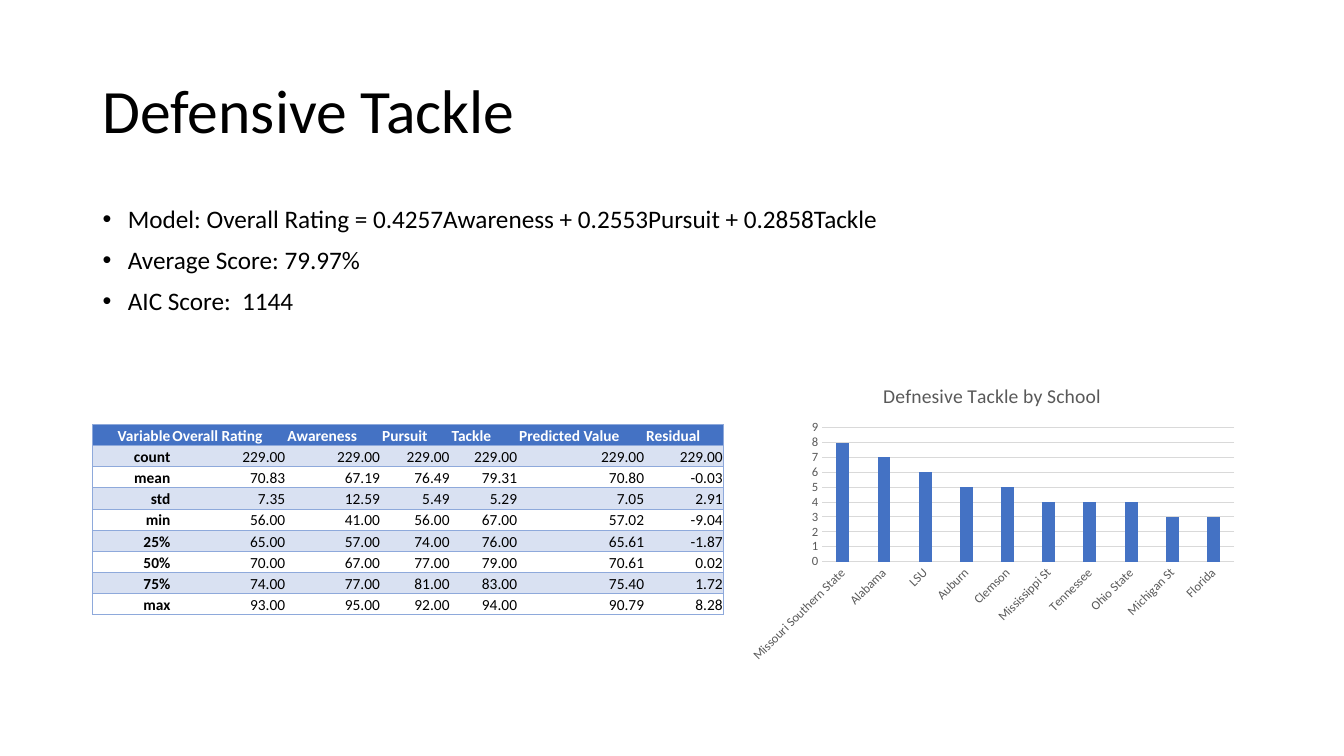
from dataclasses import dataclass

from lxml import etree
from pptx import Presentation
from pptx import util as u
from pptx.chart.data import CategoryChartData
from pptx.dml.color import RGBColor
from pptx.enum import chart as charts, text
from pptx.oxml import ns


@dataclass(frozen=True)
class Theme:
    font: str = "Calibri"
    ink: str = "000000"
    white: str = "FFFFFF"
    blue: str = "4472C4"
    band: str = "D9E1F2"
    edge: str = "8EA9DB"
    gray: str = "595959"
    grid: str = "D9D9D9"
    title: int = 44
    body: int = 18
    cell: int = 11
    head: int = 14
    axis: int = 9


THEME = Theme()
SCALE = 9144  # EMU per px, 100 px to the inch

BULLETS = [
    "Model: Overall Rating = 0.4257Awareness + 0.2553Pursuit + 0.2858Tackle",
    "Average Score: 79.97%",
    "AIC Score:  1144",
]
WIDTHS = [78, 114, 94, 69, 67, 126, 78]
STATS = [
    ["Variable", "Overall Rating", "Awareness", "Pursuit", "Tackle",
     "Predicted Value", "Residual"],
    ["count"] + ["229.00"] * 6,
    ["mean", "70.83", "67.19", "76.49", "79.31", "70.80", "-0.03"],
    ["std", "7.35", "12.59", "5.49", "5.29", "7.05", "2.91"],
    ["min", "56.00", "41.00", "56.00", "67.00", "57.02", "-9.04"],
    ["25%", "65.00", "57.00", "74.00", "76.00", "65.61", "-1.87"],
    ["50%", "70.00", "67.00", "77.00", "79.00", "70.61", "0.02"],
    ["75%", "74.00", "77.00", "81.00", "83.00", "75.40", "1.72"],
    ["max", "93.00", "95.00", "92.00", "94.00", "90.79", "8.28"],
]
SCHOOLS = {
    "Missouri Southern State": 8, "Alabama": 7, "LSU": 6, "Auburn": 5,
    "Clemson": 5, "Mississippi St": 4, "Tennessee": 4, "Ohio State": 4,
    "Michigan St": 3, "Florida": 3,
}


def px(*sizes):
    return [u.Emu(size * SCALE) for size in sizes]


def style(font, size, color, bold=False):
    font.name = THEME.font
    font.size = u.Pt(size)
    font.bold = bold
    font.color.rgb = RGBColor.from_string(color)


def add_text(slide, box, lines, size, anchor, bullet=False):
    frame = slide.shapes.add_textbox(*px(*box)).text_frame
    frame.word_wrap = True
    frame.vertical_anchor = anchor
    frame.text = "\n".join(lines)
    for para in frame.paragraphs:
        style(para.font, size, THEME.ink)
        para.line_spacing = 0.9
        if bullet:
            para.space_before = u.Pt(10)
            add_bullet(para)


def add_bullet(para):
    props = para._p.get_or_add_pPr()
    indent, = px(25)
    props.set("marL", str(indent))
    props.set("indent", str(-indent))
    # The bullet goes ahead of the default run properties
    face = etree.Element(ns.qn("a:buFont"), typeface="Arial")
    mark = etree.Element(ns.qn("a:buChar"), char="•")
    run = props.find(ns.qn("a:defRPr"))
    for item in (face, mark):
        run.addprevious(item)


def add_edges(cell, sides):
    props = cell._tc.get_or_add_tcPr()
    for side in "LRTB":
        line = etree.SubElement(props, ns.qn("a:ln" + side))
        if side in sides:
            line.set("w", str(u.Pt(0.5)))
            fill = etree.SubElement(line, ns.qn("a:solidFill"))
            etree.SubElement(fill, ns.qn("a:srgbClr"), val=THEME.edge)
        else:
            etree.SubElement(line, ns.qn("a:noFill"))


def fill_cell(cell, value, row, col):
    top, first = row == 0, col == 0
    last = col == len(WIDTHS) - 1
    add_edges(cell, "TB" + "L" * first + "R" * last)
    if top or row % 2:
        cell.fill.solid()
        cell.fill.fore_color.rgb = RGBColor.from_string(
            THEME.blue if top else THEME.band)
    else:
        cell.fill.background()
    cell.margin_left, cell.margin_right, cell.margin_top = px(1, 1, 1)
    cell.margin_bottom = 0
    cell.vertical_anchor = text.MSO_ANCHOR.BOTTOM
    cell.text = value
    para = cell.text_frame.paragraphs[0]
    left = top and not first
    para.alignment = text.PP_ALIGN.LEFT if left else text.PP_ALIGN.RIGHT
    style(para.font, THEME.cell, THEME.white if top else THEME.ink,
          top or first)


def add_stats(slide, left, top, height):
    box = px(left, top, sum(WIDTHS), height * len(STATS))
    table = slide.shapes.add_table(len(STATS), len(WIDTHS), *box).table
    # Plain style without grid
    plain = "{2D5ABB26-0587-4C30-8999-92F81FD0307C}"
    table._tbl.tblPr.find(ns.qn("a:tableStyleId")).text = plain
    for col, width in zip(table.columns, px(*WIDTHS)):
        col.width = width
    for r, values in enumerate(STATS):
        table.rows[r].height, = px(height)
        for c, value in enumerate(values):
            fill_cell(table.cell(r, c), value, r, c)


def set_line(line, color):
    line.color.rgb = RGBColor.from_string(color)
    line.width = u.Pt(0.75)


def add_bars(slide, box):
    data = CategoryChartData()
    data.categories = list(SCHOOLS)
    data.add_series("Series 1", list(SCHOOLS.values()))
    kind = charts.XL_CHART_TYPE.COLUMN_CLUSTERED
    chart = slide.shapes.add_chart(kind, *px(*box), data).chart
    style(chart.font, 10, THEME.ink)
    chart.has_legend = False

    # Title
    chart.has_title = True
    chart.chart_title.include_in_layout = False
    frame = chart.chart_title.text_frame
    frame.text = "Defnesive Tackle by School"
    style(frame.paragraphs[0].font, THEME.head, THEME.gray)

    # Columns
    plot = chart.plots[0]
    plot.gap_width, plot.overlap = 219, -27
    plot.vary_by_categories = False
    fill = plot.series[0].format.fill
    fill.solid()
    fill.fore_color.rgb = RGBColor.from_string(THEME.blue)

    # Axes
    cat, val = chart.category_axis, chart.value_axis
    for axis in (cat, val):
        axis.major_tick_mark = charts.XL_TICK_MARK.NONE
        axis.minor_tick_mark = charts.XL_TICK_MARK.NONE
        style(axis.tick_labels.font, THEME.axis, THEME.gray)
    set_line(cat.format.line, THEME.grid)
    slant = cat._element.find(ns.qn("c:txPr")).find(ns.qn("a:bodyPr"))
    slant.set("rot", str(-45 * 60000))
    val.minimum_scale, val.maximum_scale, val.major_unit = 0, 9, 1
    val.format.line.fill.background()
    set_line(val.major_gridlines.format.line, THEME.grid)


def main():
    deck = Presentation()
    deck.slide_width, deck.slide_height = px(1333, 750)
    slide = deck.slides.add_slide(deck.slide_layouts[6])
    anchor = text.MSO_ANCHOR
    add_text(slide, (92, 40, 1150, 145), ["Defensive Tackle"],
             THEME.title, anchor.MIDDLE)
    add_text(slide, (92, 200, 1150, 476), BULLETS,
             THEME.body, anchor.TOP, bullet=True)
    add_bars(slide, (734, 364, 500, 300))
    add_stats(slide, 92, 421, 21)
    deck.save("out.pptx")


if __name__ == "__main__":
    main()
